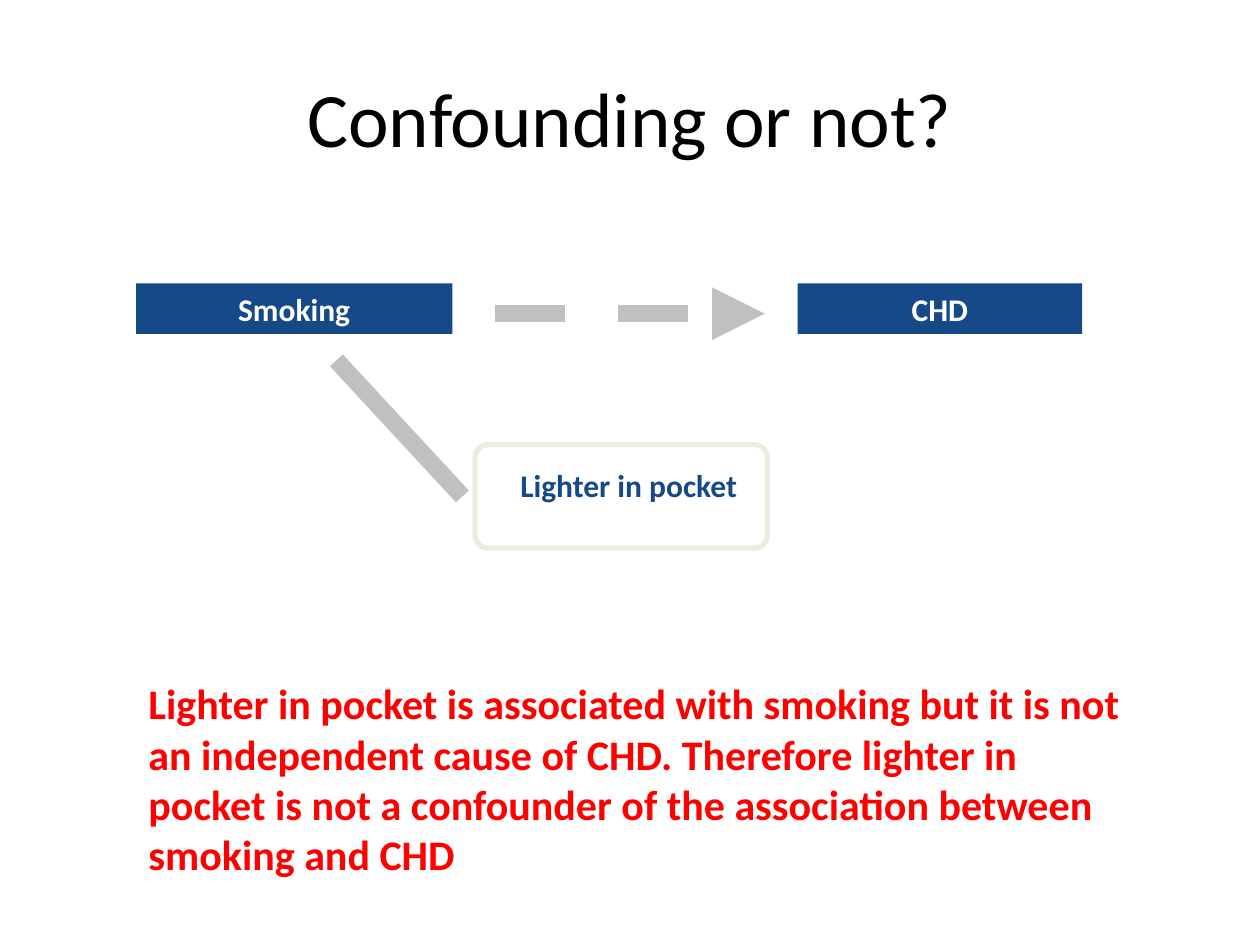
from pptx import Presentation
from pptx.dml.color import RGBColor
from pptx.enum.dml import MSO_LINE
from pptx.enum.shapes import MSO_CONNECTOR, MSO_SHAPE
from pptx.enum.text import MSO_ANCHOR, MSO_AUTO_SIZE, PP_ALIGN
from pptx.oxml.ns import qn
from pptx.util import Pt
from lxml.etree import SubElement

PX = 9144
FONT = "Calibri"
NAVY, GREY, CREAM = "154987", "C0C0C0", "EEECE1"
WHITE, BLACK, RED = "FFFFFF", "000000", "FF0000"


def px(*values):
    return [v * PX for v in values]


def rgb(value):
    return RGBColor.from_string(value)


def write(sp, text, size, color, bold=True, align=PP_ALIGN.CENTER, anchor=MSO_ANCHOR.TOP):
    tf = sp.text_frame
    tf.text = text
    tf.word_wrap = True
    tf.auto_size = MSO_AUTO_SIZE.NONE
    tf.vertical_anchor = anchor
    p = tf.paragraphs[0]
    p.alignment = align
    font = p.runs[0].font
    font.name, font.size, font.bold = FONT, Pt(size), bold
    font.color.rgb = rgb(color)


def add_title(s, x, y, w, h):
    sp = s.shapes.title
    sp.left, sp.top, sp.width, sp.height = px(x, y, w, h)
    write(sp, "Confounding or not?", 44, BLACK, bold=False, anchor=MSO_ANCHOR.MIDDLE)


def add_factor(s, text, x, y, w, h):
    sp = s.shapes.add_shape(MSO_SHAPE.RECTANGLE, *px(x, y, w, h))
    sp.shadow.inherit = False
    sp.fill.solid()
    sp.fill.fore_color.rgb = rgb(NAVY)
    sp.line.fill.background()
    write(sp, text, 18, WHITE)


def add_third_factor(s, text, x, y, w, h):
    sp = s.shapes.add_shape(MSO_SHAPE.ROUNDED_RECTANGLE, *px(x, y, w, h))
    sp.adjustments[0] = 0.125
    sp.shadow.inherit = False
    sp.fill.background()
    sp.line.color.rgb = rgb(CREAM)
    sp.line.width = Pt(3)
    label = s.shapes.add_textbox(*px(x + 23, y + 12, w - 34, 40))
    write(label, text, 18, NAVY)


def add_link(s, x1, y1, x2, y2, arrow=False):
    cn = s.shapes.add_connector(MSO_CONNECTOR.STRAIGHT, *px(x1, y1, x2, y2))
    cn.line.color.rgb = rgb(GREY)
    cn.line.width = Pt(10)
    if arrow:
        cn.line.dash_style = MSO_LINE.DASH
        SubElement(cn.line._get_or_add_ln(), qn("a:tailEnd"), type="triangle")
    SubElement(cn._element.spPr, qn("a:effectLst"))


def add_diagram(s, x, y, w, h):
    add_factor(s, "Smoking", x, y, 251, 40)
    add_factor(s, "CHD", x + w - 226, y, 226, 40)
    add_link(s, x + 285, y + 24, x + 499, y + 24, arrow=True)
    add_third_factor(s, "Lighter in pocket", x + 269, y + h - 82, 232, 82)
    add_link(s, x + 259, y + 169, x + 159, y + 61)


def add_conclusion(s, x, y, w, h):
    sp = s.shapes.add_textbox(*px(x, y, w, h))
    write(
        sp,
        "Lighter in pocket is associated with smoking but it is not an independent "
        "cause of CHD. Therefore lighter in pocket is not a confounder of the "
        "association between smoking and CHD",
        24, RED, align=PP_ALIGN.LEFT,
    )


def main():
    prs = Presentation()
    prs.slide_width, prs.slide_height = px(1000, 750)
    s = prs.slides.add_slide(prs.slide_layouts[5])
    add_title(s, 50, 30, 900, 125)
    add_diagram(s, 108, 225, 751, 210)
    add_conclusion(s, 108, 533, 808, 172)
    prs.save("out.pptx")


if __name__ == "__main__":
    main()
